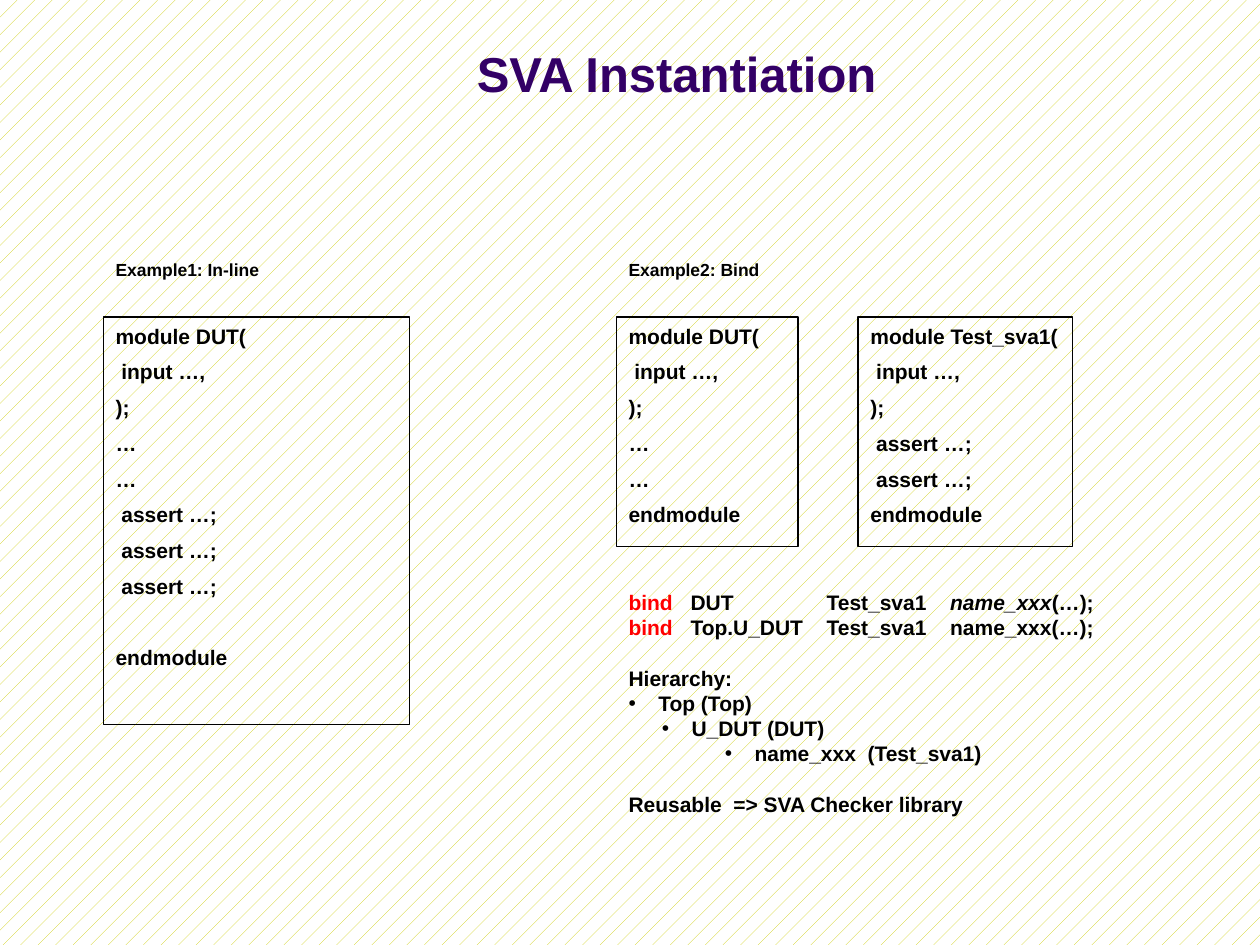
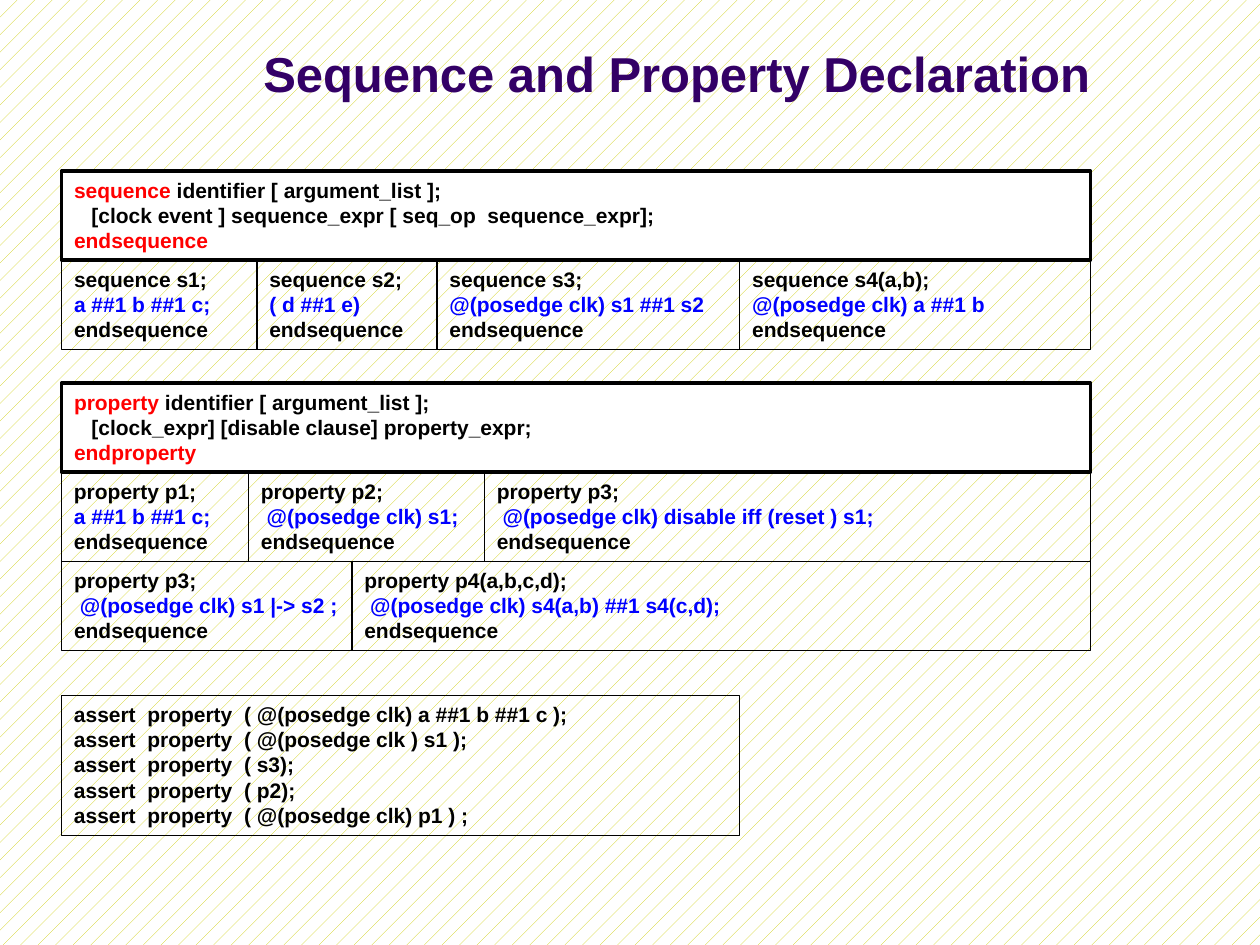
from dataclasses import dataclass
from lxml.etree import SubElement
from pptx import Presentation
from pptx.dml.color import RGBColor as Color
from pptx.enum.dml import MSO_PATTERN as Pattern
from pptx.enum.shapes import MSO_SHAPE as Kind
from pptx.enum.text import MSO_ANCHOR as Anchor, PP_ALIGN as Align
from pptx.oxml.ns import qn
from pptx.util import Pt

# Shared look
BLACK = Color(0, 0, 0)
WHITE = Color(255, 255, 255)
RED = Color(255, 0, 0)
BLUE = Color(0, 0, 255)
PURPLE = Color(0x33, 0, 0x66)
OLIVE = Color(0xCC, 0xCC, 0)
FONT = "Arial"
SIZE = 12
PITCH = 1.2  # line height per point of type
HANG = 17  # bullet to text
STEPS = (17, 36, 72)  # text indent per bullet level
TABS = (35.4, 113.2, 183.8)

# Grid of the syntax slide
LEFT, WIDE, ROW = 35.2, 588, 50.9


@dataclass
class Run:
    text: str
    color: Color = BLACK
    slant: bool = False


@dataclass
class Line:
    runs: list[Run]
    before: float = 0
    level: int | None = None
    tabs: tuple[float, ...] = ()


@dataclass
class Box:
    left: float
    top: float
    width: float
    height: float


@dataclass
class Syntax:
    top: float
    head: list[Line]
    rows: list[list[tuple[float, str, str]]]  # width, first line, body


def line(text: str, color: Color = BLACK, before: float = 0) -> Line:
    return Line([Run(text, color)], before)


def code(text: str, gap: float = 0) -> list[Line]:
    return [line(part, before=gap if at else 0)
            for at, part in enumerate(text.split("\n"))]


def write(frame, lines: list[Line], size: float = SIZE) -> None:
    frame.word_wrap = True
    for at, item in enumerate(lines):
        para = frame.paragraphs[0] if at == 0 else frame.add_paragraph()
        para.alignment = Align.LEFT
        props = para._p.get_or_add_pPr()
        if item.level is not None:
            props.set("marL", str(Pt(STEPS[item.level])))
            props.set("indent", str(-Pt(HANG)))
            SubElement(props, qn("a:buFont"), typeface=FONT)
            SubElement(props, qn("a:buChar"), char="•")
        if item.tabs:
            stops = SubElement(props, qn("a:tabLst"))
            for pos in item.tabs:
                SubElement(stops, qn("a:tab"), pos=str(Pt(pos)), algn="l")
        para.line_spacing = Pt(size * PITCH)
        para.space_before = Pt(item.before)
        for part in item.runs:
            run = para.add_run()
            run.text = part.text
            font = run.font
            font.name, font.size, font.bold = FONT, Pt(size), True
            font.italic = part.slant
            font.color.rgb = part.color


def place(box: Box) -> tuple[Pt, Pt, Pt, Pt]:
    return Pt(box.left), Pt(box.top), Pt(box.width), Pt(box.height)


def frame(shapes, box: Box, lines: list[Line], heavy: bool = False) -> None:
    """Draw a ruled box of code; a heavy one is white with a thick rule."""
    shape = shapes.add_shape(Kind.RECTANGLE, *place(box))
    shape.shadow.inherit = False
    if heavy:
        shape.fill.solid()
        shape.fill.fore_color.rgb = WHITE
    else:
        shape.fill.background()
    shape.line.color.rgb = BLACK
    shape.line.width = Pt(2 if heavy else 0.75)
    shape.text_frame.vertical_anchor = Anchor.TOP
    shape.text_frame.margin_right = 0
    write(shape.text_frame, lines)


def label(slide, box: Box, lines: list[Line], size: float = SIZE):
    text = slide.shapes.add_textbox(*place(box)).text_frame
    write(text, lines, size)
    return text


def start(deck, title: str):
    """Add a slide with the shared backdrop and title."""
    slide = deck.slides.add_slide(deck.slide_layouts[6])
    fill = slide.background.fill
    fill.patterned()
    fill.pattern = Pattern.PERCENT_5
    fill.fore_color.rgb = OLIVE
    fill.back_color.rgb = WHITE
    text = label(slide, Box(129.6, 9.4, 514, 64), [line(title, PURPLE)], 28)
    text.vertical_anchor = Anchor.MIDDLE
    text.paragraphs[0].alignment = Align.CENTER
    return slide


def table(slide, part: Syntax) -> None:
    """Draw a heavy syntax box with rows of samples under it."""
    shapes = slide.shapes.add_group_shape().shapes
    for at, row in enumerate(part.rows, 1):
        left = LEFT
        for width, name, body in row:
            width = width or LEFT + WIDE - left  # zero takes the rest
            frame(shapes, Box(left, part.top + at * ROW, width, ROW),
                  [line(name), line(body, BLUE), line("endsequence")])
            left += width
    frame(shapes, Box(LEFT, part.top, WIDE, ROW), part.head, heavy=True)


def syntax(word: str, body: str) -> list[Line]:
    return [Line([Run(word, RED), Run(" identifier [ argument_list ];")]),
            line(body), line("end" + word, RED)]


# Slide 1: module listings
GAP = 6
HEAD = "\n input …,\n);\n"
DUT = "module DUT(" + HEAD + "…\n…\n"
CHECK = " assert …;\n"
INLINE = (code(DUT + (CHECK * 3).rstrip("\n"), GAP)
          + [line("endmodule", before=2 * GAP + SIZE * PITCH)])
MODULES = [
    (Box(59, 181.2, 175, 233), INLINE),
    (Box(352.1, 181.2, 104, 131), code(DUT + "endmodule", GAP)),
    (Box(490.3, 181.2, 122.5, 131),
     code("module Test_sva1(" + HEAD + CHECK * 2 + "endmodule", GAP)),
]
LABELS = [(59, "Example1: In-line"), (352.1, "Example2: Bind")]
BLANK = SIZE * PITCH
BIND = [
    Line([Run("bind", RED), Run("\tDUT\tTest_sva1\t"),
          Run("name_xxx", slant=True), Run("(…);")], tabs=TABS),
    Line([Run("bind", RED), Run("\tTop.U_DUT\tTest_sva1\tname_xxx(…);")],
         tabs=TABS),
    line("Hierarchy:", before=BLANK),
    *[Line([Run(text)], level=at) for at, text in enumerate(
        ("Top (Top)", "U_DUT (DUT)", "name_xxx  (Test_sva1)"))],
    line("Reusable  => SVA Checker library", before=BLANK),
]

# Slide 2: syntax and samples
PARTS = [
    Syntax(97.8, syntax(
        "sequence",
        "   [clock event ] sequence_expr [ seq_op  sequence_expr];"), [
        [(111.6, "sequence s1;", "a ##1 b ##1 c;"),
         (103, "sequence s2;", "( d ##1 e)"),
         (172.9, "sequence s3;", "@(posedge clk) s1 ##1 s2"),
         (0, "sequence s4(a,b);", "@(posedge clk) a ##1 b")]]),
    Syntax(218.9, syntax(
        "property", "   [clock_expr] [disable clause] property_expr;"), [
        [(106.8, "property p1;", "a ##1 b ##1 c;"),
         (134.8, "property p2;", " @(posedge clk) s1;"),
         (0, "property p3;", " @(posedge clk) disable iff (reset ) s1;")],
        [(165.9, "property p3;", " @(posedge clk) s1 |-> s2 ;"),
         (0, "property p4(a,b,c,d);",
          " @(posedge clk) s4(a,b) ##1 s4(c,d);")]]),
]
ASSERTS = ["( @(posedge clk) a ##1 b ##1 c );", "( @(posedge clk ) s1 );",
           "( s3);", "( p2);", "( @(posedge clk) p1 ) ;"]


def main() -> None:
    deck = Presentation()
    deck.slide_width, deck.slide_height = Pt(720), Pt(540)

    slide = start(deck, "SVA Instantiation")
    for box, lines in MODULES:
        frame(slide.shapes, box, lines)
    for left, text in LABELS:
        label(slide, Box(left, 144.7, 100, 19.4), [line(text)], 10)
    label(slide, Box(352.1, 333.4, 290, 152), BIND)

    slide = start(deck, "Sequence and Property Declaration")
    for part in PARTS:
        table(slide, part)
    frame(slide.shapes, Box(LEFT, 397.4, 387.5, 80),
          [line("assert  property  " + test) for test in ASSERTS])

    deck.save("out.pptx")


if __name__ == "__main__":
    main()
